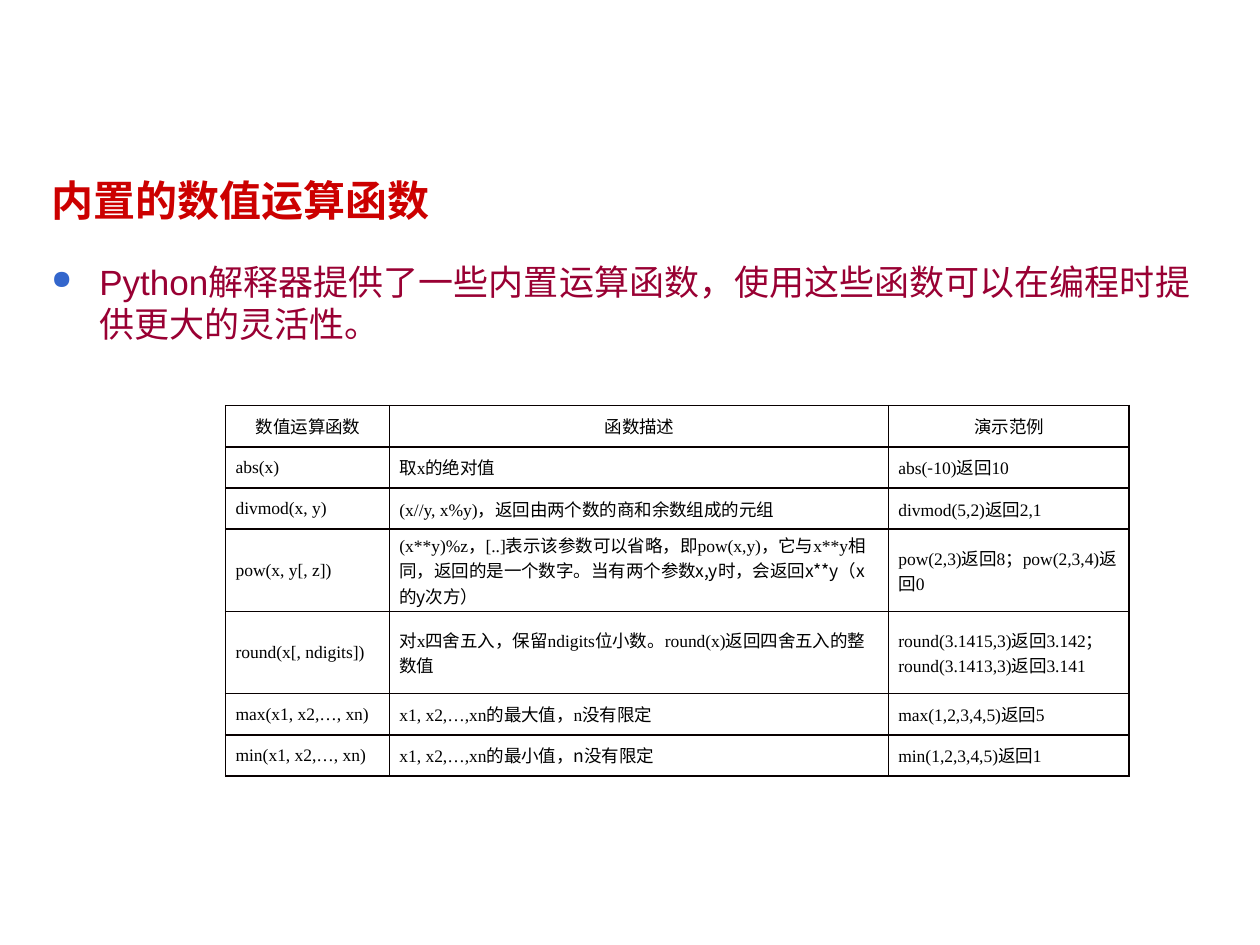
from lxml.etree import SubElement
from pptx import Presentation
from pptx.dml.color import RGBColor
from pptx.enum.shapes import MSO_SHAPE
from pptx.enum.text import MSO_ANCHOR, PP_ALIGN
from pptx.oxml.ns import qn
from pptx.util import Inches, Pt

LATIN, HAN = "Times New Roman", "Noto Sans CJK SC"

# Parts between bars are set in the Chinese font
ROWS = [
    ["数值运算函数", "函数描述", "演示范例"],
    ["abs(x)", "取x的绝对值", "abs(|-|10)返回10"],
    ["divmod(x, y)", "(x//y, x%y)，返回由两个数的商和余数组成的元组",
     "divmod(5,2)返回2,1"],
    ["pow(x, y[, z])",
     "(x**y)%z，[..]表示该参数可以省略，即pow(x,y)，它与x**y相同"
     "|，返回的是一个数字。当有两个参数x,y时，会返回x**y（x的y次方）",
     "pow(2,3)返回8；pow(2,3,4)返回0"],
    ["round(x[, ndigits])",
     "对x四舍五入，保留ndigits位小数。round(x)返回四舍五入的整数值",
     "round(3.1415,3)返回3.142；round(3.1413,3)返回3.141"],
    ["max(x1, x2,…, xn)", "x1, x2,…,xn的最大值，n没有限定", "max(1,2,3,4,5)返回5"],
    ["min(x1, x2,…, xn)", "x1, x2,…,xn|的最小值，n没有限定", "min(1,2,3,4,5)返回1"],
]


def color(code):
    return RGBColor.from_string(code)


class Deck:
    title, body, ink, dot, edge = "CC0000", "990033", "000000", "3366CC", "080000"
    paper = "FFFFFF"

    def __init__(self):
        self.prs = Presentation()
        self.prs.slide_width, self.prs.slide_height = Inches(10), Inches(7.5)
        self.slide = self.prs.slides.add_slide(self.prs.slide_layouts[6])

    def style(self, font, name, size, shade, bold=False):
        font.name, font.size, font.bold = name, Pt(size), bold
        font.color.rgb = color(shade)

    def text(self, box, words, size, shade, bold=False, anchor=MSO_ANCHOR.TOP,
             bullet=False):
        shape = self.slide.shapes.add_shape(MSO_SHAPE.RECTANGLE, *map(Inches, box))
        shape.shadow.inherit = False
        shape.fill.solid()
        shape.fill.fore_color.rgb = color(self.paper)
        shape.line.fill.background()
        frame = shape.text_frame
        frame.word_wrap = True
        frame.vertical_anchor = anchor
        para = frame.paragraphs[0]
        para.text = words
        para.alignment = PP_ALIGN.LEFT
        if bullet:
            self.bullet(para)
        self.style(para.font, "Arial", size, shade, bold)

    def bullet(self, para):
        props = para._p.get_or_add_pPr()
        props.set("marL", str(Inches(0.38)))
        props.set("indent", str(-Inches(0.38)))
        SubElement(SubElement(props, qn("a:buClr")), qn("a:srgbClr"), val=self.dot)
        SubElement(props, qn("a:buSzPct"), val="75000")
        SubElement(props, qn("a:buChar"), char="●")

    def table(self, box, widths, units, rows):
        shape = self.slide.shapes.add_table(len(rows), len(widths), *map(Inches, box))
        grid = shape.table
        for col, width in zip(grid.columns, widths):
            col.width = Inches(width)
        for row, unit in zip(grid.rows, units):
            row.height = Inches(box[3] * unit / sum(units))
        for r, row in enumerate(rows):
            for c, words in enumerate(row):
                self.cell(grid.cell(r, c), words, head=r == 0)

    def cell(self, cell, words, head):
        cell.margin_left, cell.margin_right = Inches(0.08), Inches(0.07)
        cell.margin_top = cell.margin_bottom = 0
        cell.vertical_anchor = MSO_ANCHOR.MIDDLE
        para = cell.text_frame.paragraphs[0]
        para.alignment = PP_ALIGN.CENTER if head else PP_ALIGN.LEFT
        self.style(para.font, LATIN, 10, self.ink)
        SubElement(para.font._rPr, qn("a:ea"), typeface=HAN)
        for i, part in enumerate(words.split("|")):
            run = para.add_run()
            run.text = part
            if i % 2:
                run.font.name = HAN
        # Borders come before the fill in the cell properties
        props = cell._tc.get_or_add_tcPr()
        for side in ("lnL", "lnR", "lnT", "lnB"):
            line = SubElement(props, qn("a:" + side), w=str(Pt(1)))
            fill = SubElement(line, qn("a:solidFill"))
            SubElement(fill, qn("a:srgbClr"), val=self.edge)
        cell.fill.background()


def main():
    deck = Deck()

    # Title and lead text
    deck.text((0.31, 1.15, 9.49, 0.87), "内置的数值运算函数", 24, deck.title,
              bold=True, anchor=MSO_ANCHOR.MIDDLE)
    deck.text((0.31, 2.02, 9.49, 4.8),
              "Python解释器提供了一些内置运算函数，使用这些函数可以在编程时提供更大的灵活性。",
              20, deck.body, bullet=True)

    # Function table, with two rows of double height
    deck.table((1.79, 3.22, 7.17, 2.94), (1.3, 3.96, 1.91),
               (1, 1, 1, 2, 2, 1, 1), ROWS)

    deck.prs.save("out.pptx")


if __name__ == "__main__":
    main()
